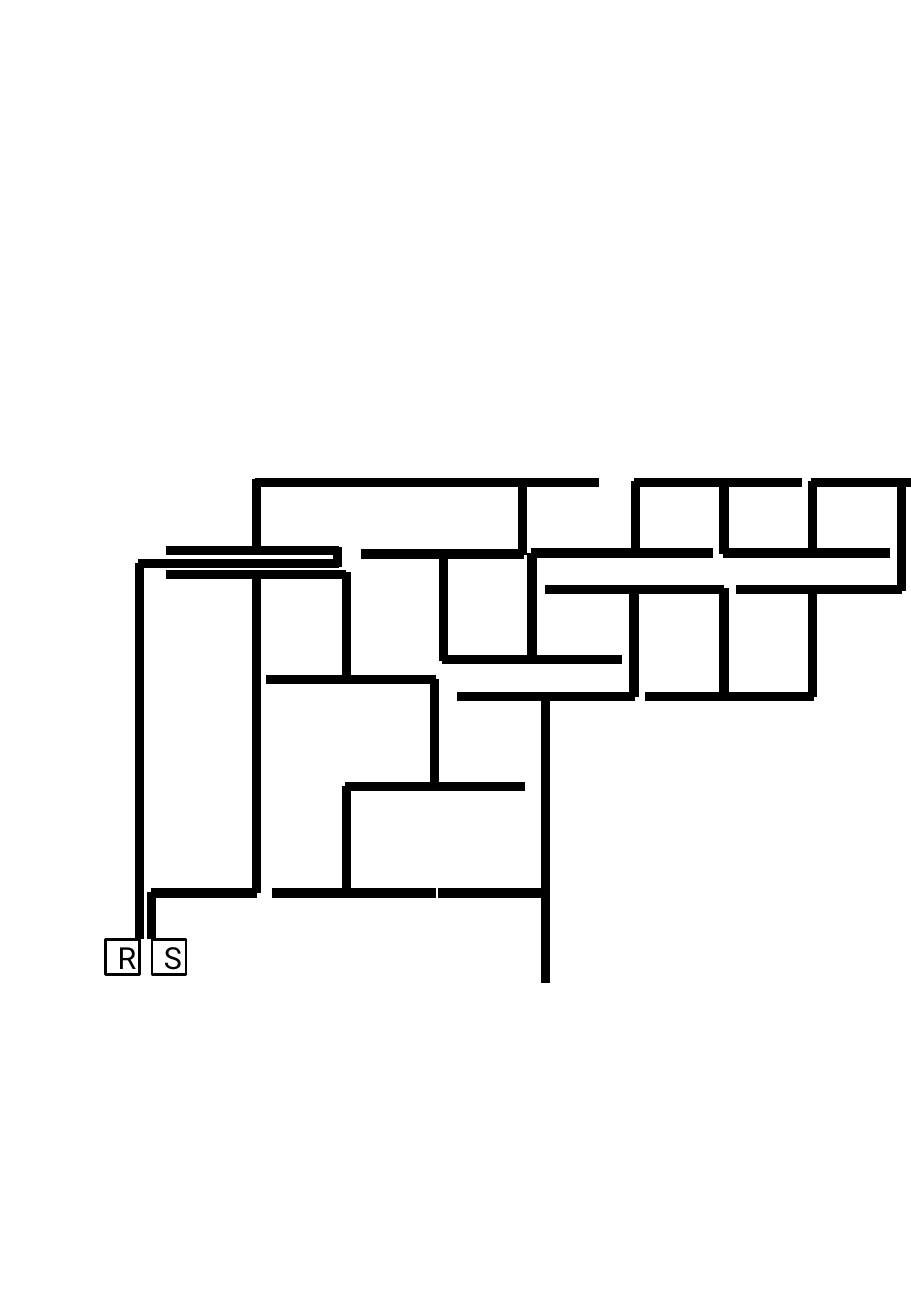
"""Draw a maze of thick wall pieces with two labelled start boxes, R and S."""
import itertools

import lxml.etree
import pptx
import pptx.dml.color
import pptx.enum.shapes
import pptx.enum.text
import pptx.oxml.ns
import pptx.util

Inches = pptx.util.Inches


def color(hex_string):
    return pptx.dml.color.RGBColor.from_string(hex_string)


def draw_wall(left, top, right, bottom):
    wall = page.shapes.add_connector(
        pptx.enum.shapes.MSO_CONNECTOR.STRAIGHT,
        Inches(left), Inches(top), Inches(right), Inches(bottom))
    wall.line.color.rgb = color(INK)
    wall.line.width = pptx.util.Pt(5.5)
    lxml.etree.SubElement(wall._element.spPr, pptx.oxml.ns.qn("a:effectLst"))


INK = "000000"
BOX_WIDTH, BOX_HEIGHT, BOX_TOP = 0.28, 0.29, 7.73

deck = pptx.Presentation()
deck.slide_width = Inches(7.5)
deck.slide_height = Inches(10.83)
page = deck.slides.add_slide(deck.slide_layouts[6])

horizontal_walls = {
    3.97: [(2.1, 2.39, 2.98), (2.69, 2.99), (2.98, 3.57), (3.56, 4.15, 4.44),
           (4.34, 4.93), (5.22, 5.82, 6.11), (6.01, 6.6), (6.68, 7.27, 7.57)],
    4.53: [(1.37, 1.96, 2.26), (2.2, 2.79)],
    4.55: [(4.37, 4.96), (4.5, 5.09, 5.38), (5.28, 5.87),
           (5.95, 6.54, 6.84), (6.74, 7.33)],
    4.56: [(3.56, 2.97), (3.8, 3.5), (4.31, 3.72)],
    4.64: [(1.14, 1.43, 2.02), (1.29, 1.59), (1.58, 2.17), (1.91, 2.2, 2.79)],
    4.73: [(2.85, 2.26, 1.97, 1.37)],
    4.85: [(5.96, 5.37, 5.08, 4.49), (6.65, 6.06), (7.43, 6.84, 6.55)],
    5.43: [(3.64, 4.23, 4.52, 5.12)],
    5.59: [(2.78, 2.19), (3.59, 3, 2.7)],
    5.73: [(5.23, 4.64, 4.35, 3.76), (5.9, 5.31), (6.7, 6.11, 5.81)],
    6.47: [(2.84, 3.43, 3.73, 4.32)],
    7.35: [(1.24, 1.54), (1.53, 2.12), (2.83, 2.24), (3.59, 3, 2.71),
           (4.49, 3.9, 3.61)],
}
vertical_walls = {
    1.15: [(5.52, 4.93, 4.63), (6.37, 5.81, 5.51), (7.1, 6.54, 6.24),
           (7.35, 6.78, 6.48), (BOX_TOP, 7.16)],
    1.25: [(BOX_TOP, 7.34)],
    2.11: [(4.56, 3.94), (4.72, 5.31, 5.6), (6.49, 5.9, 5.6),
           (7.35, 6.78, 6.48)],
    2.78: [(4.5, 4.67), (4.55, 4.58)],
    2.85: [(5.59, 5, 4.71), (7.35, 6.76, 6.47)],
    3.58: [(6.47, 5.88, 5.59)],
    3.65: [(4.56, 5.15, 5.44)],
    4.3: [(3.97, 4.57)],
    4.38: [(5.43, 4.84, 4.55)],
    4.49: [(5.73, 6.32, 6.61, 7.2, 7.5, 8.09)],
    5.22: [(4.85, 5.44, 5.74)],
    5.23: [(4.55, 3.96)],
    5.96: [(3.97, 4.56), (5.73, 5.14, 4.84)],
    6.69: [(4.55, 3.96), (4.85, 5.44, 5.74)],
    7.42: [(3.97, 4.56, 4.86)],
}

for row, chains in horizontal_walls.items():
    for chain in chains:
        for start, end in itertools.pairwise(chain):
            draw_wall(start, row, end, row)
for column, chains in vertical_walls.items():
    for chain in chains:
        for start, end in itertools.pairwise(chain):
            draw_wall(column, start, column, end)

for label, left in (("S", 1.25), ("R", 0.87)):
    box = page.shapes.add_shape(
        pptx.enum.shapes.MSO_SHAPE.RECTANGLE, Inches(left), Inches(BOX_TOP),
        Inches(BOX_WIDTH), Inches(BOX_HEIGHT))
    box.shadow.inherit = False
    box.fill.background()
    box.line.color.rgb = color(INK)
    box.line.width = pptx.util.Pt(1.5)
    box.text_frame.word_wrap = True
    box.text_frame.vertical_anchor = pptx.enum.text.MSO_ANCHOR.MIDDLE
    box.text_frame.text = label
    para = box.text_frame.paragraphs[0]
    para.alignment = pptx.enum.text.PP_ALIGN.CENTER
    span = para.runs[0]
    span.font.name = "Roboto"
    span.font.size = pptx.util.Pt(18)
    span.font.color.rgb = color(INK)

deck.save("out.pptx")
